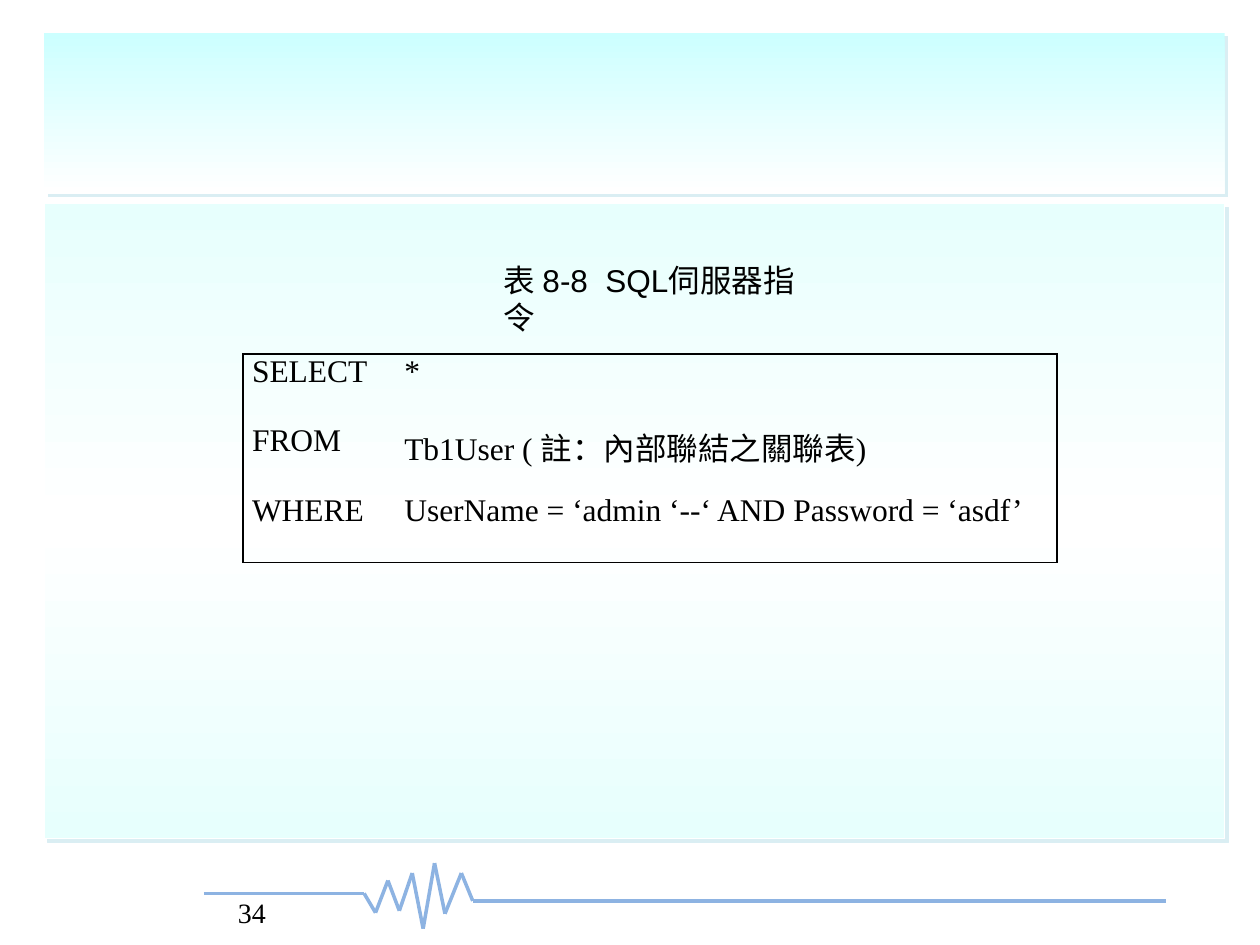
from copy import deepcopy
from itertools import pairwise

from lxml import etree
from pptx import Presentation
from pptx.dml.color import RGBColor
from pptx.enum.shapes import MSO_CONNECTOR, MSO_SHAPE
from pptx.enum.text import MSO_ANCHOR, PP_ALIGN
from pptx.oxml.ns import qn
from pptx.util import Cm, Pt

STRAIGHT = MSO_CONNECTOR.STRAIGHT
RECTANGLE = MSO_SHAPE.RECTANGLE
TOP = MSO_ANCHOR.TOP
LEFT, RIGHT = PP_ALIGN.LEFT, PP_ALIGN.RIGHT

BLACK = RGBColor(0x00, 0x00, 0x00)
WHITE = RGBColor(0xFF, 0xFF, 0xFF)
CYAN = RGBColor(0xCC, 0xFF, 0xFF)
PALE_CYAN = RGBColor(0xE7, 0xFF, 0xFD)
PULSE_BLUE = RGBColor(0x8D, 0xB3, 0xE2)
SHADOW_BLUE = RGBColor(0xDA, 0xEE, 0xF3)

SERIF = "Times New Roman"
SANS = "Arial"
NO_GRID_STYLE = "{2D5ABB26-0587-4C30-8999-92F81FD0307C}"

PULSE_POINTS = [
    (4.11, 18.01), (7.34, 18.01), (7.57, 18.4), (7.82, 17.75),
    (8.05, 18.36), (8.31, 17.6), (8.53, 18.72), (8.76, 17.4),
    (8.97, 18.42), (9.3, 17.6), (9.53, 18.16), (23.5, 18.16),
]
COLUMN_WIDTHS = [3.07, 4.45, 4.47, 4.42]
ROW_HEIGHT = 1.4
QUERY = [
    ("SELECT", "*"),
    ("FROM", "Tb1User ( 註：內部聯結之關聯表)"),
    ("WHERE", "UserName = ‘admin ‘--‘ AND Password = ‘asdf’"),
]


def add_solid_color(parent, color):
    """Append a solid fill to an XML element."""
    fill = etree.SubElement(parent, qn("a:solidFill"))
    etree.SubElement(fill, qn("a:srgbClr"), val=str(color))


def add_pulse(slide):
    """Draw the pulse line segment by segment."""
    for start, end in pairwise(PULSE_POINTS):
        segment = slide.shapes.add_connector(
            STRAIGHT, *(Cm(value) for value in start + end))
        segment.line.color.rgb = PULSE_BLUE
        segment.line.width = Pt(2)
        etree.SubElement(segment._element.spPr, qn("a:effectLst"))


def set_gradient(shape, colors):
    """Fill a shape from top to bottom with evenly spaced colours."""
    shape.fill.gradient()
    shape.fill.gradient_angle = 270
    stop_list = shape.fill._xPr.find(qn("a:gradFill")).find(qn("a:gsLst"))
    while len(stop_list) < len(colors):
        stop_list.append(deepcopy(stop_list[0]))
    for index, (stop, color) in enumerate(zip(shape.fill.gradient_stops, colors)):
        stop.color.rgb = color
        stop.position = index / (len(colors) - 1)


def add_panel(slide, top, height, colors, outline=None):
    """Add a full-width gradient panel with a hard offset shadow."""
    panel = slide.shapes.add_shape(
        RECTANGLE, Cm(0.89), Cm(top), Cm(23.8), Cm(height))
    set_gradient(panel, colors)
    if outline is None:
        panel.line.fill.background()
    else:
        panel.line.color.rgb = outline
        panel.line.width = Pt(0.75)
    panel.shadow.inherit = False
    effects = panel._element.spPr.find(qn("a:effectLst"))
    shadow = etree.SubElement(
        effects, qn("a:outerShdw"), blurRad="0", dist=str(Pt(2.8)),
        dir="2700000", algn="ctr", rotWithShape="0")
    etree.SubElement(shadow, qn("a:srgbClr"), val=str(SHADOW_BLUE))


def format_text(frame, text, size, font, align=LEFT):
    """Write one paragraph and format it."""
    frame.text = text
    paragraph = frame.paragraphs[0]
    paragraph.alignment = align
    for run in paragraph.runs:
        run.font.size = Pt(size)
        run.font.name = font
        run.font.color.rgb = BLACK


def add_text(slide, box, text, size, font, align=LEFT):
    """Add a wrapping text box; box is left, top, width, height in cm."""
    frame = slide.shapes.add_textbox(*(Cm(value) for value in box)).text_frame
    frame.word_wrap = True
    format_text(frame, text, size, font, align)


def set_borders(cell, visible_sides):
    """Draw black borders on the named sides of a cell and hide the rest."""
    properties = cell._tc.get_or_add_tcPr()
    for side in "LRTB":
        border = etree.SubElement(properties, qn(f"a:ln{side}"), w=str(Pt(1)))
        if side in visible_sides:
            add_solid_color(border, BLACK)
        else:
            etree.SubElement(border, qn("a:noFill"))


def add_query_table(slide):
    """Add the outlined table with the SQL clauses."""
    row_count, column_count = len(QUERY), len(COLUMN_WIDTHS)
    frame = slide.shapes.add_table(
        row_count, column_count, Cm(4.9), Cm(7.14),
        Cm(sum(COLUMN_WIDTHS)), Cm(ROW_HEIGHT * row_count))
    table = frame.table
    table.first_row = table.horz_banding = False
    table._tbl.tblPr.find(qn("a:tableStyleId")).text = NO_GRID_STYLE
    for column, width in zip(table.columns, COLUMN_WIDTHS):
        column.width = Cm(width)
    for row_index, clause in enumerate(QUERY):
        table.rows[row_index].height = Cm(ROW_HEIGHT)
        for column_index in range(column_count):
            cell = table.cell(row_index, column_index)
            edges = {
                "L": column_index == 0,
                "R": column_index == column_count - 1 or (row_index and column_index),
                "T": row_index == 0,
                "B": row_index == row_count - 1,
            }
            set_borders(cell, [side for side, shown in edges.items() if shown])
            cell.fill.background()
            cell.vertical_anchor = TOP
            cell.margin_left = cell.margin_right = Cm(0.18)
            cell.margin_top = cell.margin_bottom = 0
            if column_index < len(clause):
                format_text(cell.text_frame, clause[column_index], 18, SERIF)
        if row_index:
            table.cell(row_index, 1).merge(table.cell(row_index, column_count - 1))


def main():
    """Build and save the slide."""
    deck = Presentation()
    deck.slide_width, deck.slide_height = Cm(25.4), Cm(19.05)
    slide = deck.slides.add_slide(deck.slide_layouts[6])
    add_pulse(slide)
    add_panel(slide, 0.66, 3.25, [CYAN, WHITE])
    add_panel(slide, 4.11, 12.8, [PALE_CYAN, WHITE, PALE_CYAN], WHITE)
    add_query_table(slide)
    add_text(slide, (9.91, 5.13, 6.65, 1.02), "表 8-8  SQL伺服器指令", 18, SANS)
    add_text(slide, (4.29, 17.93, 1.32, 1.12), "34", 16, SERIF, RIGHT)
    deck.save("out.pptx")


main()
